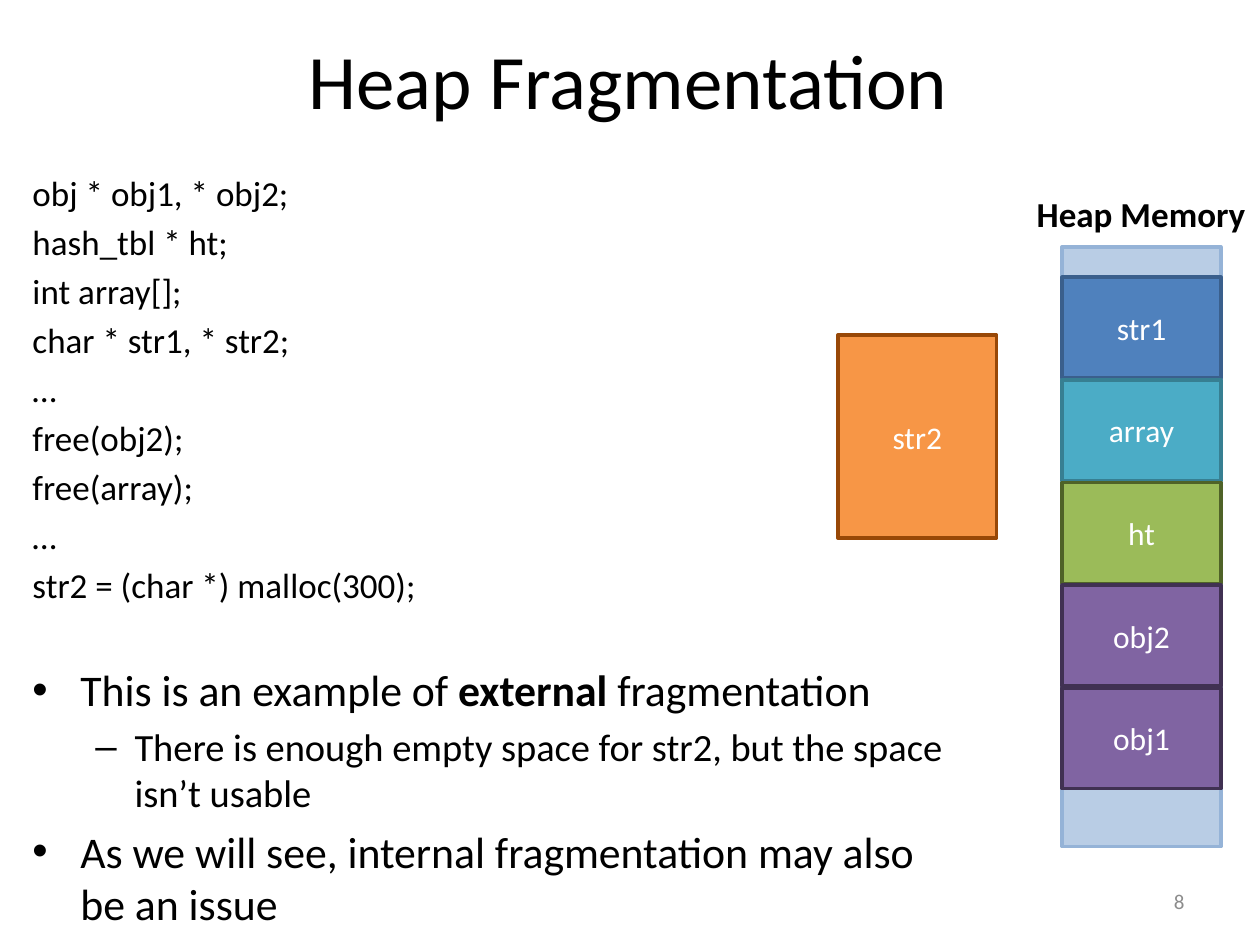
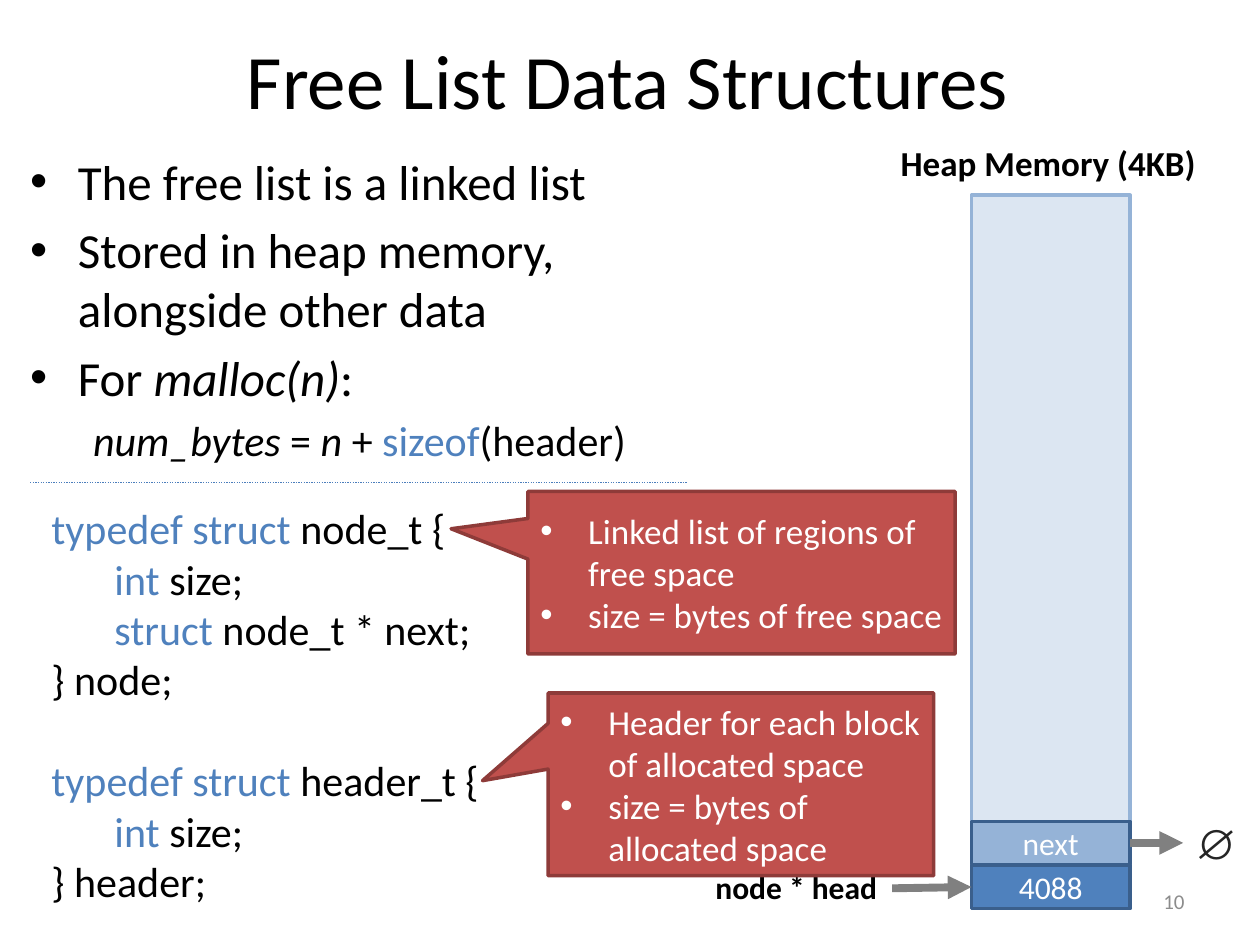
from lxml.etree import SubElement
from pptx import Presentation
from pptx.dml.color import RGBColor
from pptx.enum.dml import MSO_LINE
from pptx.enum.shapes import MSO_CONNECTOR, MSO_SHAPE
from pptx.enum.text import MSO_ANCHOR, PP_ALIGN
from pptx.oxml.ns import qn
from pptx.util import Inches, Pt

FONT = "Calibri"
BLACK, WHITE, GRAY, PALE_GRAY = "000000", "FFFFFF", "808080", "8C8C8C"
BLUE, DARK_BLUE, SOFT_BLUE = "4F81BD", "3A5F8C", "95B3D7"
PURPLE, DARK_PURPLE = "8064A2", "403152"
RED, DARK_RED = "C0504D", "8E3B39"
BLOCK_WIDTH = 1.26


def color(value):
    return RGBColor.from_string(value)


def keyword(text):
    return text, {"ink": BLUE}


def italic(text):
    return text, {"italic": True}


def add_span(para, text, size=18, ink=BLACK, bold=False, italic=False, font=FONT):
    span = para.add_run()
    span.text = text
    span.font.name = font
    span.font.size = Pt(size)
    span.font.bold = bold
    span.font.italic = italic
    span.font.color.rgb = color(ink)


def add_para(box, spans, first=False, align=PP_ALIGN.LEFT, before=0,
             left=0, hanging=0, bullet=None, **style):
    """Write one paragraph; spans is a string or a list of strings and (text, style) pairs."""
    frame = box.text_frame
    para = frame.paragraphs[0] if first else frame.add_paragraph()
    para.alignment = align
    para.space_before = Pt(0 if first else before)
    properties = para._p.get_or_add_pPr()
    properties.set("marL", str(Inches(left)))
    properties.set("indent", str(-Inches(hanging)))
    if bullet:
        SubElement(properties, qn("a:buFont"), typeface="Arial")
        SubElement(properties, qn("a:buChar"), char=bullet)
    else:
        SubElement(properties, qn("a:buNone"))
    for span in [spans] if isinstance(spans, str) else spans:
        text, changes = (span, {}) if isinstance(span, str) else span
        add_span(para, text, **{**style, **changes})


def add_paras(box, paras, **shared):
    """Write a list of (spans, format) pairs."""
    for index, (spans, style) in enumerate(paras):
        add_para(box, spans, first=index == 0, **{**shared, **style})


def add_text(page, place, paras, wrap=True, anchor=MSO_ANCHOR.TOP, **style):
    box = page.shapes.add_textbox(*map(Inches, place))
    box.text_frame.word_wrap = wrap
    box.text_frame.vertical_anchor = anchor
    add_paras(box, [(paras, {})] if isinstance(paras, str) else paras, **style)
    return box


def add_block(page, place, fill, line, label=None, kind=MSO_SHAPE.RECTANGLE):
    block = page.shapes.add_shape(kind, *map(Inches, place))
    block.shadow.inherit = False
    block.fill.solid()
    block.fill.fore_color.rgb = color(fill)
    block.line.color.rgb = color(line)
    block.line.width = Pt(2)
    block.text_frame.word_wrap = True
    block.text_frame.vertical_anchor = MSO_ANCHOR.MIDDLE
    if label:
        add_para(block, label, first=True, align=PP_ALIGN.CENTER, ink=WHITE)
    return block


def add_callout(page, place, tip, items):
    callout = add_block(page, place, RED, DARK_RED, kind=MSO_SHAPE.RECTANGULAR_CALLOUT)
    callout.adjustments[0], callout.adjustments[1] = tip
    add_paras(callout, [(item, {}) for item in items], size=20, ink=WHITE,
              left=0.38, hanging=0.38, bullet="•")


def add_line(page, start, end, ink, width):
    line = page.shapes.add_connector(MSO_CONNECTOR.STRAIGHT, *map(Inches, start + end))
    line.line.color.rgb = color(ink)
    line.line.width = Pt(width)
    SubElement(line._element.spPr, qn("a:effectLst"))
    return line


def add_arrow(page, start, end):
    arrow = add_line(page, start, end, GRAY, 4.5)
    SubElement(arrow.line._get_or_add_ln(), qn("a:tailEnd"), type="triangle")
    return arrow


def add_page(deck, title, number):
    page = deck.slides.add_slide(deck.slide_layouts[5])
    box = page.shapes.title
    box.left, box.top, box.width, box.height = map(Inches, (0.05, 0, 9.87, 1.25))
    box.text_frame.vertical_anchor = MSO_ANCHOR.MIDDLE
    add_para(box, title, first=True, align=PP_ALIGN.CENTER, size=44)
    add_text(page, (7.17, 6.95, 2.33, 0.4), number, anchor=MSO_ANCHOR.MIDDLE,
             align=PP_ALIGN.RIGHT, size=12, ink=PALE_GRAY)
    return page


def build_fragmentation(deck):
    page = add_page(deck, "Heap Fragmentation", "8")

    # Code, then the points about it
    code = ["obj * obj1, * obj2;", "hash_tbl * ht;", "int array[];",
            "char * str1, * str2;", "…", "free(obj2);", "free(array);", "…",
            "str2 = (char *) malloc(300);"]
    point = {"size": 25, "left": 0.38, "hanging": 0.38, "bullet": "•"}
    detail = {"size": 22, "left": 0.81, "hanging": 0.31, "bullet": "–"}
    paras = [(line, {"size": 20, "before": 4}) for line in code] + [
        (["This is an example of ", ("external", {"bold": True}), " fragmentation"],
         {**point, "before": 33}),
        ("There is enough empty space for str2, but the space isn’t usable",
         {**detail, "before": 4.4}),
        ("As we will see, internal fragmentation may also be an issue",
         {**point, "before": 5})]
    add_text(page, (0.16, 1.31, 7.54, 5.93), paras)

    # Heap column with its allocated blocks
    add_block(page, (8.43, 1.96, BLOCK_WIDTH, 4.76), "B9CDE5", SOFT_BLUE)
    add_text(page, (8.13, 1.48, 1.87, 0.44), "Heap Memory", wrap=False, size=20, bold=True)
    blocks = [("str1", BLUE, DARK_BLUE), ("array", "4BACC6", "377F92"),
              ("ht", "9BBB59", "4F6228"), ("obj2", PURPLE, DARK_PURPLE),
              ("obj1", PURPLE, DARK_PURPLE)]
    for row, (label, fill, line) in enumerate(blocks):
        add_block(page, (8.43, 2.2 + row * 0.815, BLOCK_WIDTH, 0.8), fill, line, label)

    # The block that does not fit
    add_block(page, (6.65, 2.66, BLOCK_WIDTH, 1.61), "F79646", "984807", "str2")


def build_free_list(deck):
    page = add_page(deck, "Free List Data Structures", "10")

    # Points
    point = {"size": 28, "left": 0.38, "hanging": 0.38, "bullet": "•", "before": 5.6}
    add_text(page, (0.14, 1.15, 5.33, 2.07), [
        ("The free list is a linked list", point),
        ("Stored in heap memory, alongside other data", point),
        (["For ", italic("malloc(n)"), ":"], point),
        ([italic("num_bytes "), "=", italic(" n "), "+ ", keyword("sizeof"), "(header)"],
         {"size": 24, "left": 0.5, "before": 4.8})])

    # Heap column with the head node at its foot
    add_block(page, (7.71, 1.55, BLOCK_WIDTH, 5.66), "DCE6F2", SOFT_BLUE)
    add_text(page, (7.05, 1.07, 2.57, 0.44), "Heap Memory (4KB)", wrap=False,
             size=20, bold=True)
    add_text(page, (5.58, 6.84, 1.5, 0.4), "node * head", wrap=False, bold=True)
    next_field = add_block(page, (7.71, 6.52, BLOCK_WIDTH, 0.34), SOFT_BLUE, DARK_BLUE, "next")
    size_field = add_block(page, (7.71, 6.87, BLOCK_WIDTH, 0.34), BLUE, DARK_BLUE, "4088")
    add_text(page, (9.39, 6.44, 0.41, 0.5), "∅", wrap=False, size=24, bold=True,
             ink="252525", font="Arial")
    add_arrow(page, (8.97, 6.69), (9.39, 6.69)).begin_connect(next_field, 3)
    add_arrow(page, (7.08, 7.05), (7.71, 7.04)).end_connect(size_field, 1)

    # Struct definitions
    field = {"left": 0.5}
    add_text(page, (0.31, 3.94, 3.85, 3.33), [
        ([keyword("typedef struct "), "node_t {"], {}),
        ([keyword("int "), "size;"], field),
        ([keyword("struct "), "node_t * next;"], field),
        ("} node;", {}),
        ([keyword("typedef struct "), "header_t {"], {"before": 29}),
        ([keyword("int "), "size;"], field),
        ("} header;", {})], size=24)
    divider = add_line(page, (0.24, 3.83), (5.46, 3.83), "4B7EBC", 0.75)
    divider.line.dash_style = MSO_LINE.ROUND_DOT

    # Callouts
    add_callout(page, (4.19, 3.9, 3.39, 1.29), (-0.68, -0.27),
                ["Linked list of regions of free space", "size = bytes of free space"])
    add_callout(page, (4.35, 5.5, 3.06, 1.45), (-0.67, -0.02),
                ["Header for each block of allocated space",
                 "size = bytes of allocated space"])


def main():
    deck = Presentation()
    deck.slide_width, deck.slide_height = Inches(10), Inches(7.5)
    build_fragmentation(deck)
    build_free_list(deck)
    deck.save("out.pptx")


if __name__ == "__main__":
    main()
